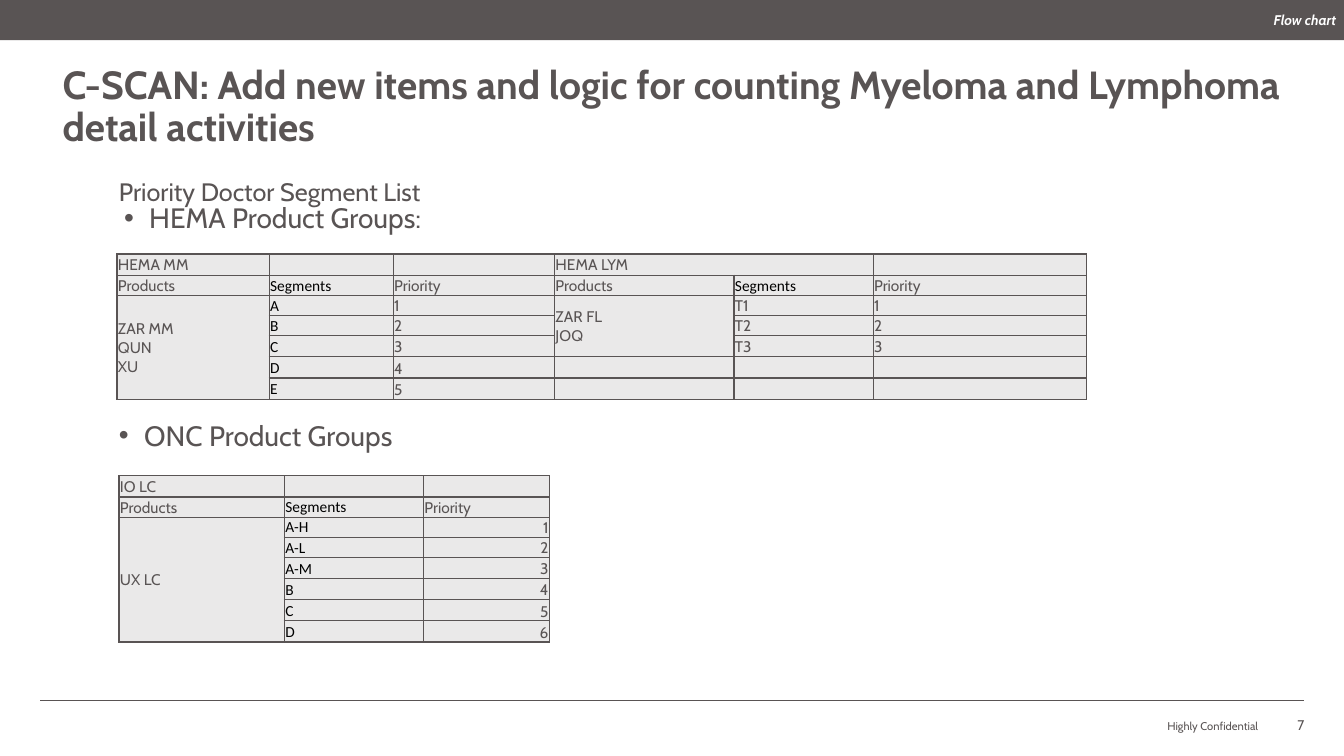
"""Build the slide on Myeloma and Lymphoma detail activities."""
from dataclasses import dataclass

from lxml import etree
from pptx import Presentation
from pptx.dml.color import RGBColor
from pptx.enum.shapes import MSO_CONNECTOR, MSO_SHAPE
from pptx.enum.text import MSO_ANCHOR, MSO_AUTO_SIZE, PP_ALIGN
from pptx.oxml.ns import qn
from pptx.util import Pt

TOP, MIDDLE, BOTTOM = MSO_ANCHOR.TOP, MSO_ANCHOR.MIDDLE, MSO_ANCHOR.BOTTOM
LEFT, RIGHT = PP_ALIGN.LEFT, PP_ALIGN.RIGHT
FIXED = MSO_AUTO_SIZE.NONE
LINE = MSO_CONNECTOR.STRAIGHT
RECT = MSO_SHAPE.RECTANGLE
SCALE = 9144


@dataclass(frozen=True)
class Theme:
    """Fonts, colours and type sizes of the slide."""
    font: str = "Cabin"
    plain: str = "Calibri"
    ink: str = "595454"
    black: str = "000000"
    white: str = "FFFFFF"
    pale: str = "EAE9E9"
    title: int = 28
    list: int = 20
    lead: int = 18
    cell: int = 11
    tag: int = 10
    foot: int = 8


THEME = Theme()

HEMA = [
    ["HEMA MM", "", "", "HEMA LYM", "", ""],
    ["Products", "Segments", "Priority", "Products", "Segments", "Priority"],
    ["ZAR MM\nQUN\nXU", "A", "1", "ZAR FL\nJOQ", "T1", "1"],
    ["", "B", "2", "", "T2", "2"],
    ["", "C", "3", "", "T3", "3"],
    ["", "D", "4", "", "", ""],
    ["", "E", "5", "", "", ""],
]
ONC = [
    ["IO LC", "", ""],
    ["Products", "Segments", "Priority"],
    ["UX LC", "A-H", "1"],
    ["", "A-L", "2"],
    ["", "A-M", "3"],
    ["", "B", "4"],
    ["", "C", "5"],
    ["", "D", "6"],
]


def px(count):
    """Turn whole pixels into EMU."""
    return count * SCALE


def place(shape, box):
    """Move and size a shape."""
    shape.left, shape.top, shape.width, shape.height = map(px, box)


def style(para, size, color=THEME.ink, font=THEME.font, bold=False, slant=False):
    """Format every run of a paragraph."""
    for run in para.runs:
        run.font.size = Pt(size)
        run.font.name = font
        run.font.bold = bold
        run.font.italic = slant
        run.font.color.rgb = RGBColor.from_string(color)


def write(shape, text, size, align=LEFT, anchor=TOP, inset=0, wrap=True, **look):
    """Put one formatted paragraph into a shape and return it."""
    frame = shape.text_frame
    frame.text = text
    frame.word_wrap = wrap
    frame.auto_size = FIXED
    frame.vertical_anchor = anchor
    frame.margin_left = frame.margin_right = px(inset)
    frame.margin_top = frame.margin_bottom = px(inset // 2)
    para = frame.paragraphs[0]
    para.alignment = align
    para.space_before = Pt(0)
    style(para, size, **look)
    return para


def add_text(slide, box, text, size, **look):
    """Add a text box with one paragraph."""
    shape = slide.shapes.add_textbox(*map(px, box))
    return write(shape, text, size, **look)


def bullet(para, indent):
    """Give a paragraph a hanging bullet."""
    props = para._p.get_or_add_pPr()
    props.set("marL", str(px(indent)))
    props.set("indent", str(px(-25)))
    etree.SubElement(props, qn("a:buFont"), typeface="Arial")
    etree.SubElement(props, qn("a:buChar"), char="•")


def add_bar(slide, box):
    """Add the dark band at the top."""
    bar = slide.shapes.add_shape(RECT, *map(px, box))
    bar.shadow.inherit = False
    bar.fill.solid()
    bar.fill.fore_color.rgb = RGBColor.from_string(THEME.ink)
    bar.line.fill.background()


def add_rule(slide, left, right, top):
    """Add the thin line above the footer."""
    rule = slide.shapes.add_connector(LINE, px(left), px(top), px(right), px(top))
    rule.line.color.rgb = RGBColor.from_string(THEME.ink)
    rule.line.width = Pt(0.5)
    etree.SubElement(rule._element.spPr, qn("a:effectLst"))


def border(cell):
    """Draw all four edges of a cell."""
    props = cell._tc.get_or_add_tcPr()
    for spot, side in enumerate(("lnL", "lnR", "lnT", "lnB")):
        edge = etree.Element(qn(f"a:{side}"), w=str(Pt(1)))
        fill = etree.SubElement(edge, qn("a:solidFill"))
        etree.SubElement(fill, qn("a:srgbClr"), val=THEME.ink)
        props.insert(spot, edge)


def fill_cell(cell, text, row, col, align):
    """Write and format one table cell."""
    part = col % 3
    cell.margin_left = cell.margin_right = cell.margin_top = px(1)
    cell.margin_bottom = 0
    cell.vertical_anchor = BOTTOM
    if row == 0 or row == 2 and part < 2:
        cell.vertical_anchor = MIDDLE
    elif row == 3 and part == 1:
        cell.vertical_anchor = TOP
    para = cell.text_frame.paragraphs[0]
    para.text = text
    para.alignment = align if part == 2 and row > 1 else LEFT
    if col == 1 or text == "Segments":
        style(para, THEME.cell, THEME.black, THEME.plain)
    else:
        style(para, THEME.cell)
    size = str(THEME.cell * 100)
    for gap in para._p.findall(qn("a:br")):
        etree.SubElement(gap, qn("a:rPr"), sz=size)
    etree.SubElement(para._p, qn("a:endParaRPr"), sz=size)
    cell.fill.solid()
    cell.fill.fore_color.rgb = RGBColor.from_string(THEME.pale)
    border(cell)


def add_grid(slide, left, top, data, widths, merges, align=LEFT):
    """Add a table of product groups."""
    heights = [20 if 1 <= row <= 3 else 21 for row in range(len(data))]
    box = map(px, (left, top, sum(widths), sum(heights)))
    table = slide.shapes.add_table(len(data), len(widths), *box).table
    table.first_row = table.horz_banding = False
    for col, width in enumerate(widths):
        table.columns[col].width = px(width)
    for row, height in enumerate(heights):
        table.rows[row].height = px(height)
        for col, text in enumerate(data[row]):
            fill_cell(table.cell(row, col), text, row, col, align)
    for start, end in merges:
        table.cell(*start).merge(table.cell(*end))


def main():
    """Build and save the slide."""
    deck = Presentation()
    deck.slide_width, deck.slide_height = px(1333), px(750)
    slide = deck.slides.add_slide(deck.slide_layouts[1])

    title, body = slide.placeholders
    place(title, (62, 65, 1210, 86))
    para = write(title, "C-SCAN: Add new items and logic for counting Myeloma "
                 "and Lymphoma detail activities", THEME.title, bold=True)
    para.line_spacing = 0.9
    place(body, (73, 199, 1122, 355))
    bullet(write(body, "HEMA Product Groups:", THEME.list), 75)

    add_bar(slide, (0, 0, 1336, 40))
    add_text(slide, (1080, -12, 255, 63), "Flow chart", THEME.tag, align=RIGHT,
             anchor=MIDDLE, inset=10, color=THEME.white, bold=True, slant=True)
    add_text(slide, (118, 175, 761, 43), "Priority Doctor Segment List", THEME.lead)
    add_grid(slide, 116, 252, HEMA, [151, 123, 160, 178, 138, 212],
             [((0, 3), (0, 4)), ((2, 0), (6, 0)), ((2, 3), (4, 3))])
    bullet(add_text(slide, (118, 415, 425, 18), "ONC Product Groups", THEME.list), 25)
    add_grid(slide, 118, 472, ONC, [164, 138, 125], [((2, 0), (7, 0))], RIGHT)

    add_rule(slide, 40, 1293, 695)
    add_text(slide, (897, 702, 351, 25), "Highly Confidential", THEME.foot,
             align=RIGHT, anchor=BOTTOM)
    add_text(slide, (1277, 706, 35, 25), "7", THEME.tag, inset=10)
    deck.save("out.pptx")


if __name__ == "__main__":
    main()
